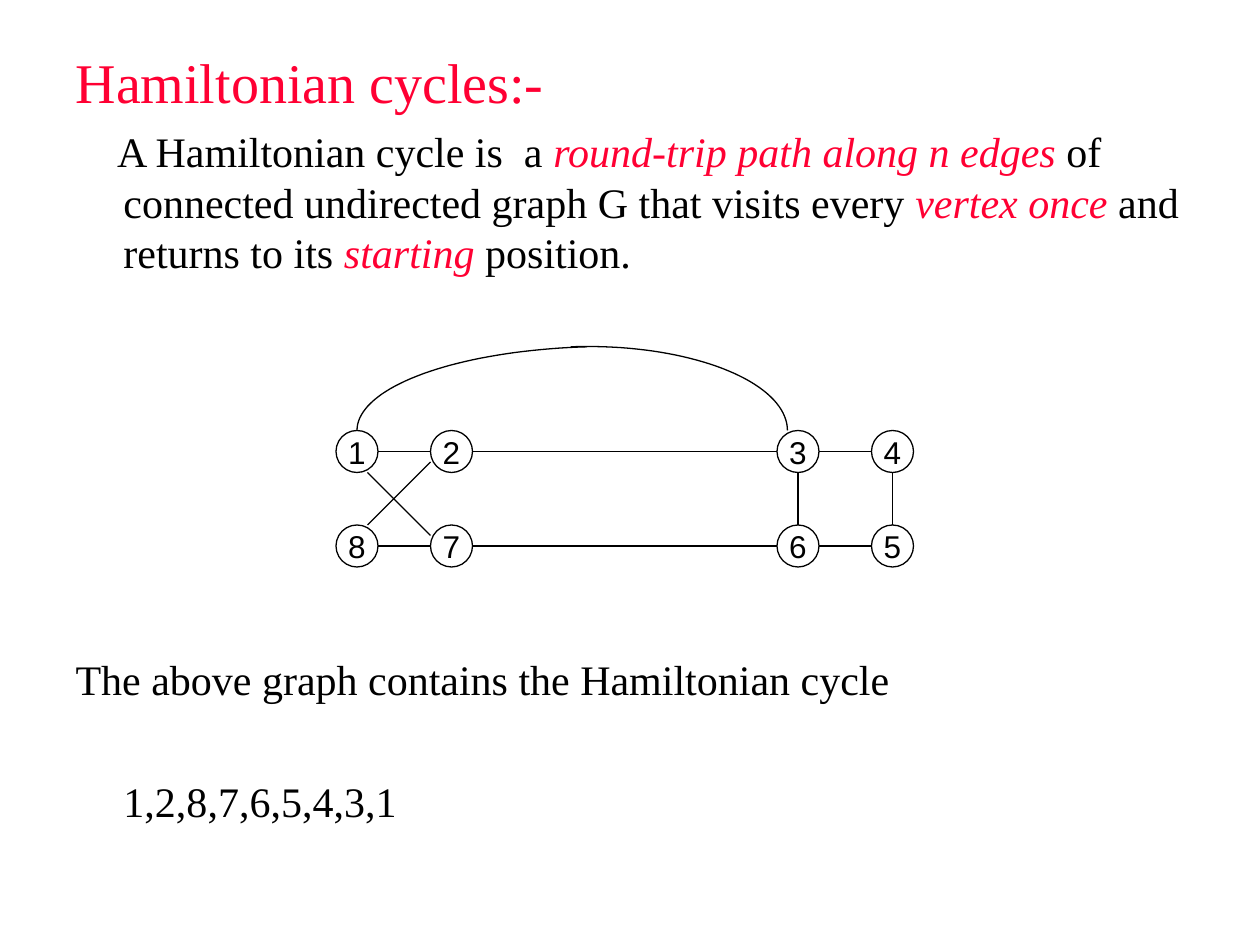
"""Build the slide on Hamiltonian cycles."""
from math import cos, radians, sin

from lxml import etree
from pptx import Presentation
from pptx.dml.color import RGBColor
from pptx.enum.shapes import MSO_CONNECTOR, MSO_SHAPE
from pptx.enum.text import MSO_ANCHOR, MSO_AUTO_SIZE, PP_ALIGN
from pptx.oxml.ns import qn
from pptx.util import Inches, Pt

ELLIPSE = MSO_SHAPE.OVAL
STRAIGHT = MSO_CONNECTOR.STRAIGHT
CENTER, LEFT = PP_ALIGN.CENTER, PP_ALIGN.LEFT
MIDDLE, TOP = MSO_ANCHOR.MIDDLE, MSO_ANCHOR.TOP
NO_FIT = MSO_AUTO_SIZE.NONE

COLORS = {"ink": "000000", "accent": "FF0033", "paper": "FFFFFF"}
SERIF, SANS = "Times New Roman", "Arial"
CELL = Inches(1) / 12
RADIUS = 2
LINE_WIDTH = Pt(0.75)
HANG = Inches(0.38)

NODES = {
    "1": (34, 43), "2": (43, 43), "3": (76, 43), "4": (85, 43),
    "8": (34, 52), "7": (43, 52), "6": (76, 52), "5": (85, 52),
}
EDGES = ["12", "87", "65", "34", "23", "76", "36", "45", "82", "17"]
ARCS = [
    {"center": (58, 41), "radii": (24, 8), "angles": (180, 95)},
    {"center": (56, 41), "radii": (19, 8), "angles": (95, 0)},
]
DEFINITION = [
    ("A Hamiltonian cycle is  a ", False),
    ("round-trip path along n edges", True),
    (" of connected undirected graph G that visits every ", False),
    ("vertex once", True),
    (" and returns to its ", False),
    ("starting", True),
    (" position.", False),
]


def grid(cells):
    """Turn grid cells into a length."""
    return round(cells * CELL)


def color(name):
    """Look up a colour by name."""
    return RGBColor.from_string(COLORS[name])


def add_span(para, text, size=24, font=SERIF, ink="ink", italic=False):
    """Add one formatted run of text."""
    span = para.add_run()
    span.text = text
    span.font.size = Pt(size)
    span.font.name = font
    span.font.italic = italic
    span.font.color.rgb = color(ink)


def format_para(para, before=0, indent=-HANG):
    """Set the spacing and indents of a paragraph without a bullet."""
    para.alignment = LEFT
    para.space_before = Pt(before)
    properties = para._p.get_or_add_pPr()
    properties.set("marL", str(HANG))
    properties.set("indent", str(indent))
    etree.SubElement(properties, qn("a:buNone"))


def fill_body(page):
    """Write the heading, the definition and the resulting cycle."""
    page.shapes.title.element.getparent().remove(page.shapes.title.element)
    box = page.placeholders[1]
    box.left, box.top = Inches(0.5), Inches(0.33)
    box.width, box.height = Inches(9), Inches(6.37)
    frame = box.text_frame
    frame.auto_size, frame.word_wrap = NO_FIT, True
    frame.vertical_anchor = TOP

    heading = frame.paragraphs[0]
    format_para(heading)
    add_span(heading, "Hamiltonian cycles:-", size=32, ink="accent")

    definition = frame.add_paragraph()
    format_para(definition, before=6, indent=Inches(-0.05))
    for text, stressed in DEFINITION:
        add_span(definition, text, ink="accent" if stressed else "ink", italic=stressed)

    for text, before, indent in [
        ("The above graph contains the Hamiltonian cycle", 215, -HANG),
        ("1,2,8,7,6,5,4,3,1", 41, 0),
    ]:
        para = frame.add_paragraph()
        format_para(para, before, indent)
        add_span(para, text)


def add_node(page, label, center):
    """Draw a labelled vertex."""
    left, top = (grid(value - RADIUS) for value in center)
    node = page.shapes.add_shape(ELLIPSE, left, top, grid(2 * RADIUS), grid(2 * RADIUS))
    node.shadow.inherit = False
    node.fill.solid()
    node.fill.fore_color.rgb = color("paper")
    node.line.color.rgb = color("ink")
    node.line.width = LINE_WIDTH
    frame = node.text_frame
    frame.word_wrap = False
    frame.vertical_anchor = MIDDLE
    para = frame.paragraphs[0]
    para.alignment = CENTER
    add_span(para, label, size=18, font=SANS)


def edge_ends(start, end):
    """Find where an edge leaves and meets the rims of two vertices."""
    (x1, y1), (x2, y2) = start, end
    across = (x2 > x1) * RADIUS
    down = ((y2 > y1) - (y2 < y1)) * RADIUS
    if across and down:
        return x1 + across / 2, y1 + down, x2 - across, y2 - down / 2
    return x1 + across, y1 + down, x2 - across, y2 - down


def add_edge(page, start, end):
    """Draw a straight edge between two vertices."""
    ends = [grid(value) for value in edge_ends(start, end)]
    edge = page.shapes.add_connector(STRAIGHT, *ends)
    edge.line.color.rgb = color("ink")
    edge.line.width = LINE_WIDTH
    etree.SubElement(edge.element.spPr, qn("a:effectLst"))


def add_arc(page, center, radii, angles, steps=40):
    """Draw part of an ellipse as an open outline."""
    first, last = angles
    turns = [radians(first + (last - first) * step / steps) for step in range(steps + 1)]
    points = [
        (grid(center[0] + radii[0] * cos(turn)), grid(center[1] - radii[1] * sin(turn)))
        for turn in turns
    ]
    builder = page.shapes.build_freeform(*points[0])
    builder.add_line_segments(points[1:], close=False)
    arc = builder.convert_to_shape()
    arc.shadow.inherit = False
    arc.fill.background()
    arc.line.color.rgb = color("ink")
    arc.line.width = LINE_WIDTH


def main():
    """Build and save the deck."""
    deck = Presentation()
    deck.slide_width, deck.slide_height = Inches(10), Inches(7.5)
    page = deck.slides.add_slide(deck.slide_layouts[1])
    fill_body(page)
    for label, center in NODES.items():
        add_node(page, label, center)
    for start, end in EDGES:
        add_edge(page, NODES[start], NODES[end])
    for arc in ARCS:
        add_arc(page, **arc)
    deck.save("out.pptx")


if __name__ == "__main__":
    main()
